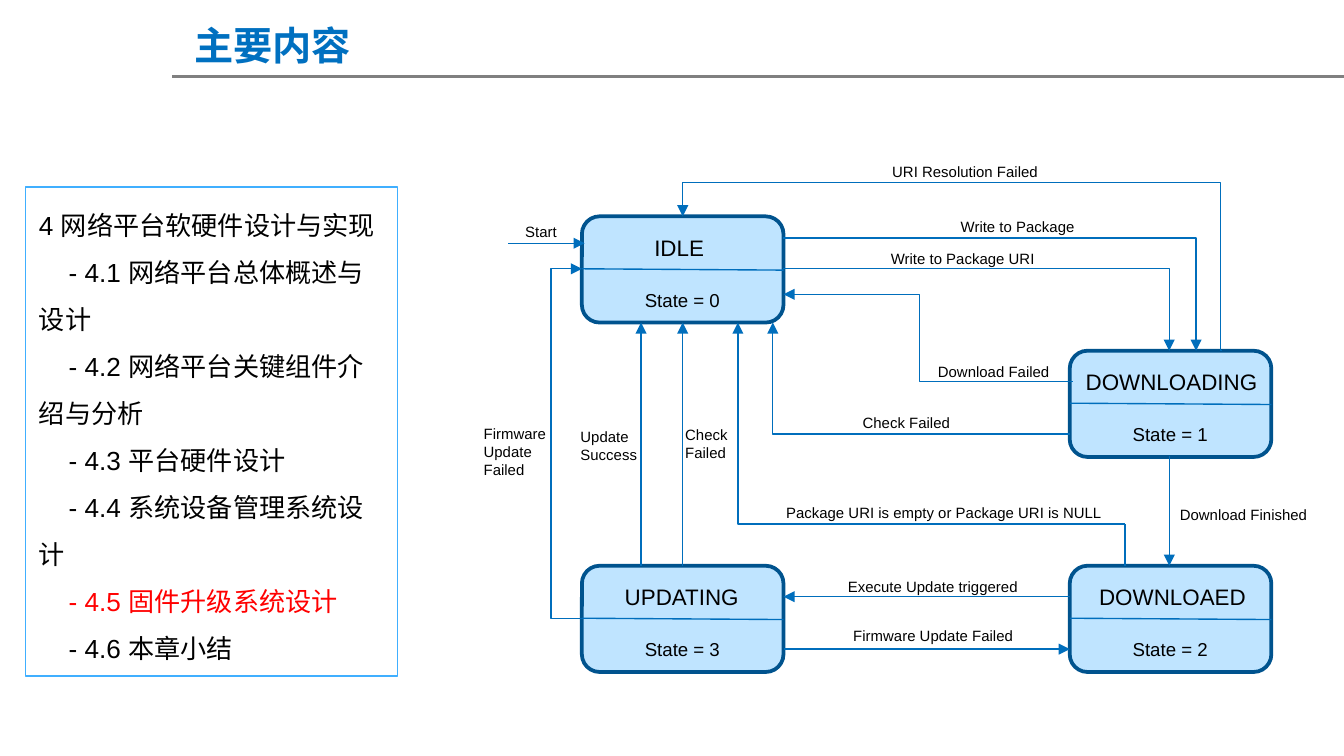
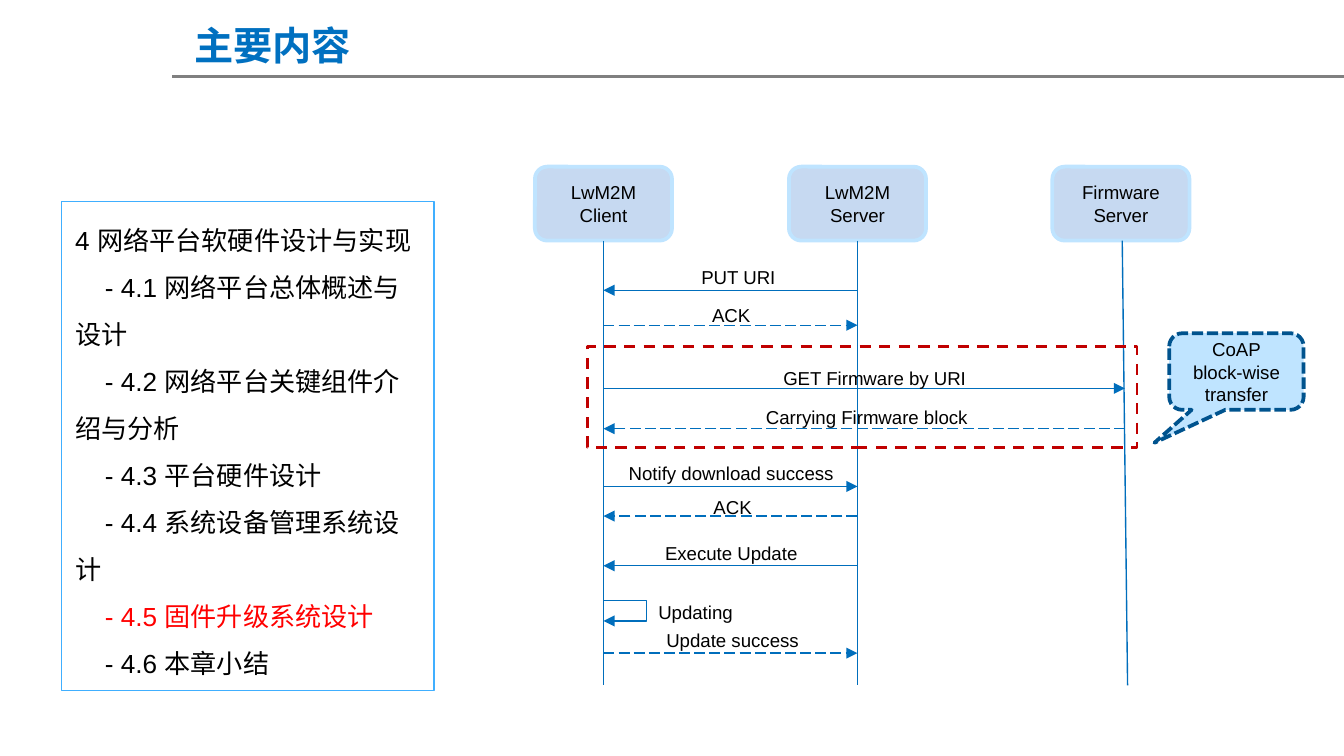
from lxml import etree
from pptx import Presentation
from pptx import util as u
from pptx.dml.color import RGBColor
from pptx.enum import dml, shapes, text
from pptx.oxml import ns

PX = 9144  # EMU in one px, 100 px to the inch
FONT = "Arial"
BLACK = RGBColor(0x00, 0x00, 0x00)
RED = RGBColor(0xFF, 0x00, 0x00)
DARK_RED = RGBColor(0xC0, 0x00, 0x00)
GREY = RGBColor(0x80, 0x80, 0x80)
TITLE_BLUE = RGBColor(0x00, 0x70, 0xC0)
ARROW_BLUE = RGBColor(0x00, 0x6E, 0xBC)
EDGE_BLUE = RGBColor(0x00, 0x53, 0x8E)
FRAME_BLUE = RGBColor(0x40, 0xAF, 0xFF)
PALE_BLUE = RGBColor(0xBF, 0xE4, 0xFF)
ACTOR_BLUE = RGBColor(0xC6, 0xD9, 0xF1)

TITLE = "主要内容"
CHAPTER = "4 网络平台软硬件设计与实现"
SECTIONS = [
    "- 4.1 网络平台总体概述与设计",
    "- 4.2 网络平台关键组件介绍与分析",
    "- 4.3 平台硬件设计",
    "- 4.4 系统设备管理系统设计",
    "- 4.5 固件升级系统设计",
    "- 4.6 本章小结",
]
CURRENT_SECTION = 4


class Sketch:
    """Holds the deck's style and draws on the current page."""

    def __init__(self):
        self.deck = Presentation()
        self.deck.slide_width = u.Inches(10)
        self.deck.slide_height = u.Inches(5.625)
        self.page = None

    def place(self, box, left, top, width, height):
        box.left, box.top = u.Emu(left * PX), u.Emu(top * PX)
        box.width, box.height = u.Emu(width * PX), u.Emu(height * PX)

    def add_span(self, para, words, size, color=BLACK, bold=False):
        span = para.add_run()
        span.text = words
        span.font.name = FONT
        span.font.size = u.Pt(size)
        span.font.bold = bold
        span.font.color.rgb = color

    def stroke(self, line, color, weight, dash=None):
        line.color.rgb = color
        line.width = u.Pt(weight)
        if dash:
            line.dash_style = dash

    def new_page(self, outline_left, outline_top):
        """Add a page with the title, its rule and the chapter outline."""
        self.page = self.deck.slides.add_slide(self.deck.slide_layouts[1])
        self.line((128, 57), (1000, 57), GREY, 2, head=False)
        title = self.page.shapes.title
        self.place(title, 126, 12, 154, 43)
        frame = title.text_frame
        frame.margin_left = frame.margin_right = 7 * PX
        frame.margin_top = frame.margin_bottom = 4 * PX
        frame.auto_size = text.MSO_AUTO_SIZE.NONE
        frame.vertical_anchor = text.MSO_ANCHOR.TOP
        frame.paragraphs[0].alignment = text.PP_ALIGN.CENTER
        self.add_span(frame.paragraphs[0], TITLE, 21, TITLE_BLUE, bold=True)
        self.outline(outline_left, outline_top)

    def outline(self, left, top):
        box = self.page.placeholders[1]
        self.place(box, left, top, 277, 364)
        self.stroke(box.line, FRAME_BLUE, 0.75)
        frame = box.text_frame
        frame.auto_size = text.MSO_AUTO_SIZE.NONE
        frame.vertical_anchor = text.MSO_ANCHOR.TOP
        self.outline_item(frame.paragraphs[0], CHAPTER, 0, BLACK)
        for number, section in enumerate(SECTIONS):
            color = RED if number == CURRENT_SECTION else BLACK
            self.outline_item(frame.add_paragraph(), section, 22, color)

    def outline_item(self, para, words, indent, color):
        para.line_spacing = 1.5
        para.space_before = u.Pt(0)
        props = para._p.get_or_add_pPr()
        props.set("marL", "0")
        props.set("indent", str(indent * PX))
        etree.SubElement(props, ns.qn("a:buNone"))
        self.add_span(para, words, 14, color)

    def shape(self, kind, left, top, width, height, fill, edge, weight=2,
              dash=None, lines=()):
        box = self.page.shapes.add_shape(kind, 0, 0, 0, 0)
        self.place(box, left, top, width, height)
        box.shadow.inherit = False
        if fill is None:
            box.fill.background()
        else:
            box.fill.solid()
            box.fill.fore_color.rgb = fill
        self.stroke(box.line, edge, weight, dash)
        frame = box.text_frame
        frame.vertical_anchor = text.MSO_ANCHOR.MIDDLE
        for number, words in enumerate(lines):
            para = frame.add_paragraph() if number else frame.paragraphs[0]
            para.alignment = text.PP_ALIGN.CENTER
            self.add_span(para, words, 10)
        return box

    def label(self, words, left, top, width, height, size):
        box = self.page.shapes.add_textbox(0, 0, 0, 0)
        self.place(box, left, top, width, height)
        box.text_frame.word_wrap = True
        self.add_span(box.text_frame.paragraphs[0], words, size)

    def line(self, start, end, color=ARROW_BLUE, weight=0.75, dash=None,
             head=True, kind=shapes.MSO_CONNECTOR.STRAIGHT):
        ends = [u.Emu(length * PX) for length in (*start, *end)]
        link = self.page.shapes.add_connector(kind, *ends)
        self.stroke(link.line, color, weight, dash)
        if head:
            tail = etree.SubElement(link.line._get_or_add_ln(), ns.qn("a:tailEnd"))
            tail.set("type", "triangle")
        etree.SubElement(link._element.spPr, ns.qn("a:effectLst"))
        return link

    def elbow(self, start, *corners, end):
        """Draw an arrow that turns at each corner, leaving sideways."""
        link = self.line(start, end, kind=shapes.MSO_CONNECTOR.ELBOW)
        props = link._element.spPr
        frame = props.find(ns.qn("a:xfrm"))
        if end[0] < start[0]:
            frame.attrib.pop("flipH")
            frame.set("rot", "10800000")
            if frame.attrib.pop("flipV", None) is None:
                frame.set("flipV", "1")
        outline = props.find(ns.qn("a:prstGeom"))
        outline.set("prst", f"bentConnector{len(corners) + 1}")
        guides = outline.find(ns.qn("a:avLst"))
        if guides is None:
            guides = etree.SubElement(outline, ns.qn("a:avLst"))
        for number, corner in enumerate(corners[:-1]):
            axis = number % 2
            share = (corner[axis] - start[axis]) / (end[axis] - start[axis])
            guide = etree.SubElement(guides, ns.qn("a:gd"))
            guide.set("name", f"adj{number + 1}")
            guide.set("fmla", f"val {round(share * 100000)}")

    def state(self, name, number, left, top, name_offset, name_width):
        """Draw a state: a rounded box split into name and value."""
        self.shape(shapes.MSO_SHAPE.ROUNDED_RECTANGLE, left, top, 150, 79,
                   PALE_BLUE, EDGE_BLUE)
        self.line((left, top + 39), (left + 150, top + 40), head=False)
        self.label(name, left + name_offset, top + 8, name_width, 30, 12)
        self.label(f"State = {number}", left + 37, top + 49, 80, 27, 10)


def draw_update_states(sketch):
    sketch.new_page(19, 139)
    for state in [
        ("IDLE", 0, 433, 161, 44, 63),
        ("DOWNLOADING", 1, 796, 261, 2, 154),
        ("DOWNLOAED", 2, 796, 421, 12, 134),
        ("UPDATING", 3, 433, 421, 22, 108),
    ]:
        sketch.state(*state)

    for start, *corners, end in [
        ((909, 261), (908, 261), (908, 136), (508, 136), (508, 161)),
        ((583, 177), (890, 177), (890, 261), (890, 261)),
        ((583, 200), (870, 200), (870, 261)),
        ((798, 284), (684, 284), (684, 219), (583, 219)),
        ((796, 323), (575, 323), (575, 240), (575, 240)),
        ((837, 390), (549, 390), (549, 240), (549, 240)),
        ((435, 460), (410, 460), (410, 200), (433, 200)),
    ]:
        sketch.elbow(start, *corners, end=end)
    for start, end in [
        ((870, 339), (870, 421)),
        ((796, 444), (583, 444)),
        ((583, 483), (796, 483)),
        ((508, 421), (508, 240)),
        ((477, 421), (477, 240)),
        ((378, 181), (435, 181)),
    ]:
        sketch.line(start, end)
    sketch.line((837, 390), (837, 421), head=False)

    for words, left, top, width, height in [
        ("URI Resolution Failed", 654, 116, 130, 24),
        ("Write to Package", 705, 157, 130, 24),
        ("Write to Package URI", 653, 181, 130, 24),
        ("Download Failed", 688, 265, 104, 24),
        ("Check Failed", 632, 303, 104, 24),
        ("Download Finished", 868, 371, 130, 24),
        ("Package URI is empty or Package URI is NULL", 575, 370, 258, 24),
        ("Execute Update triggered", 621, 425, 152, 24),
        ("Firmware Update Failed", 625, 461, 152, 24),
        ("Check Failed", 500, 312, 57, 37),
        ("Update Success", 422, 313, 81, 37),
        ("Firmware Update Failed", 350, 311, 71, 50),
        ("Start", 381, 161, 46, 24),
    ]:
        sketch.label(words, left, top, width, height, 8)


def draw_update_sequence(sketch):
    client, server, firmware = 449, 638, 837
    sketch.new_page(46, 150)
    for left, lines in [
        (398, ("LwM2M", "Client")),
        (587, ("LwM2M", "Server")),
        (783, ("Firmware", "Server")),
    ]:
        sketch.shape(shapes.MSO_SHAPE.ROUNDED_RECTANGLE, left, 124, 102, 55,
                     ACTOR_BLUE, PALE_BLUE, lines=lines)
    for top_x, bottom_x in [(client, client), (server, server), (835, 839)]:
        sketch.line((top_x, 179), (bottom_x, 510), head=False)

    reply = dml.MSO_LINE.LONG_DASH
    for sender, receiver, y, dash, words, left, top, width in [
        (server, client, 216, None, "PUT URI", 512, 193, 78),
        (client, server, 242, reply, "ACK", 520, 221, 69),
        (client, firmware, 289, None, "GET Firmware by URI", 573, 268, 164),
        (firmware, client, 319, reply, "Carrying Firmware block", 560, 297, 189),
        (client, server, 362, None, "Notify download success", 458, 339, 177),
        (server, client, 384, reply, "ACK", 521, 364, 69),
        (server, client, 421, None, "Execute Update", 485, 398, 134),
        (client, server, 486, reply, "Update success", 486, 463, 133),
    ]:
        sketch.line((sender, y), (receiver, y), dash=dash)
        sketch.label(words, left, top, width, 27, 10)

    sketch.elbow((467, 447), (481, 447), (481, 462), end=(client, 462))
    sketch.line((467, 447), (client, 447), head=False)
    sketch.label("Updating", 480, 442, 134, 27, 10)

    sketch.shape(shapes.MSO_SHAPE.RECTANGLE, 437, 258, 409, 75,
                 None, DARK_RED, 1.5, dml.MSO_LINE.DASH)
    callout = sketch.shape(
        shapes.MSO_SHAPE.ROUNDED_RECTANGULAR_CALLOUT, 870, 248, 100, 57,
        PALE_BLUE, EDGE_BLUE, dash=dml.MSO_LINE.SQUARE_DOT,
        lines=("CoAP", "block-wise", "transfer"))
    for number, value in enumerate((-0.61, 0.93, 0.17)):
        callout.adjustments[number] = value


def main():
    sketch = Sketch()
    draw_update_states(sketch)
    draw_update_sequence(sketch)
    sketch.deck.save("out.pptx")


if __name__ == "__main__":
    main()
